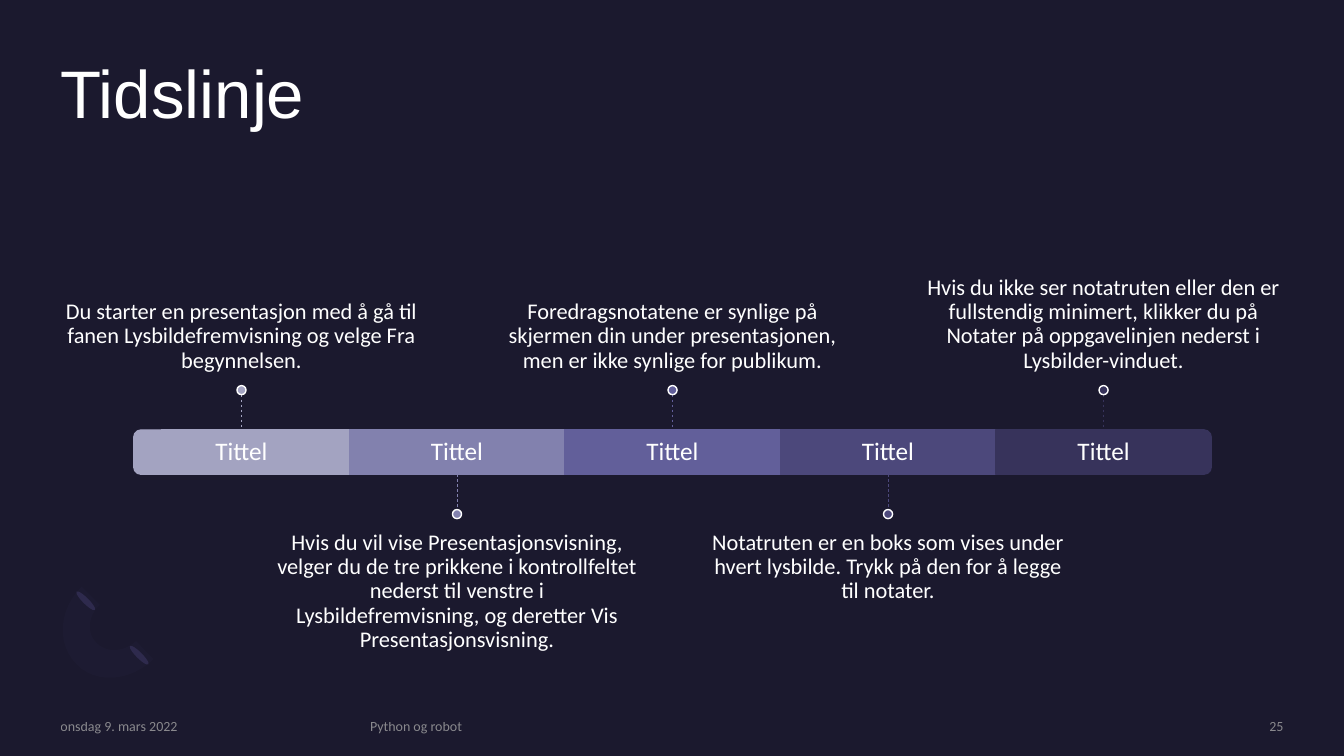
import pptx
import pptx.util
import pptx.dml.color
import pptx.enum.dml
import pptx.enum.shapes
import pptx.enum.text
import pptx.oxml.ns
from lxml import etree

PX = 9144  # EMU per px, 100 px to the inch
SHAPE = pptx.enum.shapes.MSO_SHAPE
ALIGN = pptx.enum.text.PP_ALIGN
ANCHOR = pptx.enum.text.MSO_ANCHOR

COLORS = {
    "background": "1B192E",
    "text": "FFFFFF",
    "footer": "A6A6A6",
    "petal": "2C284A",
    "arc": "7771B2",
}

STEPS = [
    ("A3A3C1", "Du starter en presentasjon med å gå til fanen "
               "Lysbildefremvisning og velge Fra begynnelsen."),
    ("8281AE", "Hvis du vil vise Presentasjonsvisning, velger du de tre "
               "prikkene i kontrollfeltet nederst til venstre i "
               "Lysbildefremvisning, og deretter Vis Presentasjonsvisning."),
    ("625F9A", "Foredragsnotatene er synlige på skjermen din under "
               "presentasjonen, men er ikke synlige for publikum."),
    ("4C487B", "Notatruten er en boks som vises under hvert lysbilde. "
               "Trykk på den for å legge til notater."),
    ("37335B", "Hvis du ikke ser notatruten eller den er fullstendig "
               "minimert, klikker du på Notater på oppgavelinjen nederst i "
               "Lysbilder-vinduet."),
]


def px(*lengths):
    return [pptx.util.Emu(round(n * PX)) for n in lengths]


def rgb(color):
    return pptx.dml.color.RGBColor.from_string(color)


def set_alpha(fill_parent, percent):
    """Make the solid colour found under an element partly transparent."""
    clr = fill_parent.find(".//" + pptx.oxml.ns.qn("a:srgbClr"))
    alpha = etree.SubElement(clr, pptx.oxml.ns.qn("a:alpha"))
    alpha.set("val", str(percent * 1000))


def paint(sp, fill, line=None):
    sp.shadow.inherit = False
    sp.fill.solid()
    sp.fill.fore_color.rgb = rgb(fill)
    if line:
        sp.line.color.rgb = rgb(line)
        sp.line.width = pptx.util.Pt(1)
    else:
        sp.line.fill.background()


def add_shape(s, kind, box, fill, line=None, rotation=0):
    sp = s.shapes.add_shape(kind, *px(*box))
    sp.rotation = rotation
    paint(sp, fill, line)
    return sp


def add_text(s, box, text, size, font="Calibri", color=COLORS["text"],
             align=ALIGN.LEFT, anchor=ANCHOR.TOP, insets=(0, 0, 0, 0),
             spacing=0.9):
    tf = s.shapes.add_textbox(*px(*box)).text_frame
    tf.word_wrap = True
    tf.vertical_anchor = anchor
    (tf.margin_left, tf.margin_top,
     tf.margin_right, tf.margin_bottom) = px(*insets)
    p = tf.paragraphs[0]
    p.alignment = align
    p.line_spacing = spacing
    r = p.add_run()
    r.text = text
    r.font.size = pptx.util.Pt(size)
    r.font.name = font
    r.font.color.rgb = rgb(color)
    return r


def curve(start, c1, c2, end, pieces=12):
    """Points along a cubic curve, without its start."""
    points = []
    for i in range(1, pieces + 1):
        t = i / pieces
        u = 1 - t
        points.append(tuple(
            u**3 * a + 3 * u * u * t * b + 3 * u * t * t * c + t**3 * d
            for a, b, c, d in zip(start, c1, c2, end)))
    return points


def add_ornament(s, x, y):
    for dx, dy in ((79, 55), (26, 1)):
        add_shape(s, SHAPE.OVAL, (x + dx, y + dy, 6, 26),
                  COLORS["petal"], rotation=135)
    outline = [
        (20, 77),
        *curve((20, 77), (0, 57), (2, 23), (25, 0)),
        (43, 18),
        *curve((43, 18), (31, 29), (30, 47), (40, 56)),
        *curve((40, 56), (50, 66), (67, 65), (79, 54)),
        (96, 72),
        *curve((96, 72), (74, 94), (39, 97), (20, 77)),
    ]
    points = [px(x + a, y + b) for a, b in outline]
    builder = s.shapes.build_freeform(*points[0])
    builder.add_line_segments(points[1:], close=True)
    arc = builder.convert_to_shape()
    paint(arc, COLORS["arc"])
    set_alpha(arc.fill._xPr, 3)


def add_stem(s, x, top, bottom, color):
    line = s.shapes.add_connector(
        pptx.enum.shapes.MSO_CONNECTOR.STRAIGHT, *px(x, top, x, bottom))
    line.line.color.rgb = rgb(color)
    line.line.width = pptx.util.Pt(0.5)
    line.line.dash_style = pptx.enum.dml.MSO_LINE.DASH
    etree.SubElement(line._element.spPr, pptx.oxml.ns.qn("a:effectLst"))


def add_timeline(s, x, y, w, h):
    """Bar of titles, with notes above and below it in turn."""
    note_w, note_h, bar_h, stem_h, dot = 357, 152, 44, 35, 9
    step = (w - note_w) / (len(STEPS) - 1)
    bar_y = y + (h - bar_h) / 2
    for i, (color, note) in enumerate(STEPS):
        center = x + note_w / 2 + i * step
        bar = (center - step / 2, bar_y, step, bar_h)
        if i in (0, len(STEPS) - 1):
            upright = (center - bar_h / 2, bar_y + (bar_h - step) / 2,
                       bar_h, step)
            add_shape(s, SHAPE.ROUND_2_SAME_RECTANGLE, upright, color, color,
                      rotation=90 if i else 270)
        else:
            add_shape(s, SHAPE.RECTANGLE, bar, color, color)
        add_text(s, bar, "Tittel", 18, align=ALIGN.CENTER,
                 anchor=ANCHOR.MIDDLE, insets=(15, 15, 15, 15))

        above = i % 2 == 0
        if above:
            note_y, stem_y = y, bar_y - stem_h
            dot_y = stem_y - dot
            anchor, insets = ANCHOR.BOTTOM, (0, 0, 0, 13)
        else:
            note_y, stem_y = y + h - note_h, bar_y + bar_h
            dot_y = stem_y + stem_h
            anchor, insets = ANCHOR.TOP, (0, 13, 0, 0)
        add_text(s, (center - note_w / 2, note_y, note_w, note_h), note, 16,
                 align=ALIGN.CENTER, anchor=anchor, insets=insets)
        add_stem(s, center, stem_y, stem_y + stem_h, color)
        add_shape(s, SHAPE.OVAL, (center - dot / 2, dot_y, dot, dot),
                  color, COLORS["text"])


def add_footer(s, x, y, w, h):
    parts = [
        (0, 288, "onsdag 9. mars 2022", ALIGN.LEFT),
        (307, 698, "Python og robot", ALIGN.LEFT),
        (w - 185, 185, "25", ALIGN.RIGHT),
    ]
    for dx, width, text, align in parts:
        r = add_text(s, (x + dx, y, width, h), text, 10,
                     color=COLORS["footer"], align=align,
                     anchor=ANCHOR.MIDDLE, spacing=1.0)
        set_alpha(r._r, 80)


def main():
    prs = pptx.Presentation()
    prs.slide_width, prs.slide_height = px(1333, 750)
    s = prs.slides.add_slide(prs.slide_layouts[6])
    s.background.fill.solid()
    s.background.fill.fore_color.rgb = rgb(COLORS["background"])
    add_ornament(s, 56, 582)
    add_text(s, (60, 60, 1213, 146), "Tidslinje", 48, font="Arial")
    add_timeline(s, 61, 231, 1212, 435)
    add_footer(s, 60, 712, 1213, 17)
    prs.save("out.pptx")


if __name__ == "__main__":
    main()
